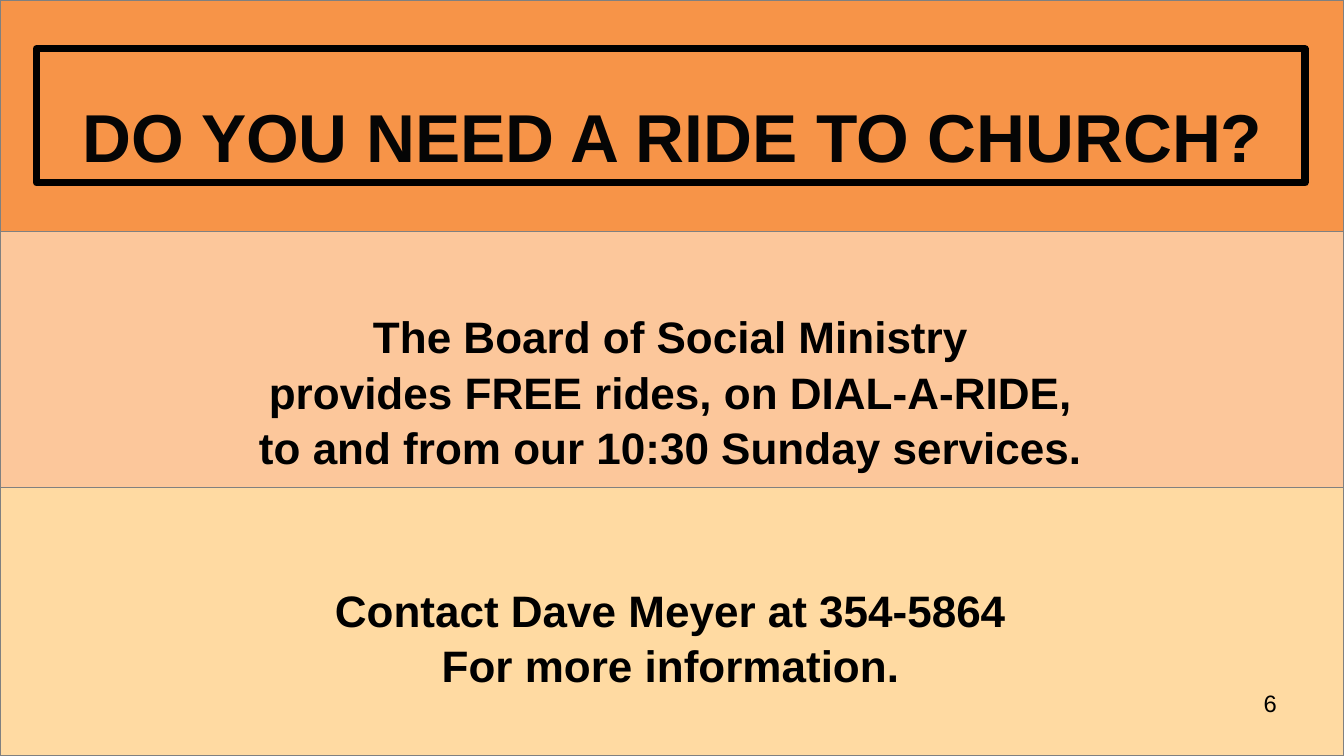
from dataclasses import dataclass
from typing import Any

from lxml.etree import SubElement
from pptx import Presentation
from pptx.dml.color import RGBColor
from pptx.enum.shapes import MSO_SHAPE
from pptx.enum.text import MSO_ANCHOR, MSO_AUTO_SIZE, PP_ALIGN
from pptx.oxml.ns import qn
from pptx.util import Inches, Pt

SLIDE_WIDTH, SLIDE_HEIGHT = 11.02, 6.2


@dataclass(frozen=True)
class Panel:
    left: float
    top: float
    width: float
    height: float
    fill: str | None
    line: str
    line_width: float


@dataclass(frozen=True)
class Wording:
    left: float
    top: float
    width: float
    height: float
    groups: tuple[tuple[str, ...], ...]
    size: float
    color: str
    bold: bool
    align: PP_ALIGN
    anchor: MSO_ANCHOR = MSO_ANCHOR.TOP
    line_spacing: float = 1.0
    group_gap: float = 0


BANDS = [
    Panel(0, top, SLIDE_WIDTH, bottom - top, fill, "808080", 0)
    for top, bottom, fill in (
        (0, 1.9, "F79448"),
        (1.9, 4, "FCC79B"),
        (4, SLIDE_HEIGHT, "FFDAA2"),
    )
]
HEADLINE_FRAME = Panel(0.3, 0.4, 10.4, 1.1, None, "000000", 4.31)

HEADLINE = Wording(
    0.4, 0.79, 10.23, 0.64, (("DO YOU NEED A RIDE TO CHURCH?",),),
    40, "050505", True, PP_ALIGN.CENTER, MSO_ANCHOR.MIDDLE,
)
RIDE_OFFER = Wording(
    0.4, 2.52, 10.2, 3.05,
    (
        (
            "The Board of Social Ministry",
            "provides FREE rides, on DIAL-A-RIDE,",
            "to and from our 10:30 Sunday services.",
        ),
        ("Contact Dave Meyer at 354-5864", "For more information."),
    ),
    26, "000000", True, PP_ALIGN.CENTER, line_spacing=1.05, group_gap=63,
)
PAGE_NUMBER = Wording(
    7.9, 5.65, 2.57, 0.43, (("6",),), 14, "000000", False, PP_ALIGN.RIGHT,
)


def set_all(target: Any, values: dict[str, Any]) -> None:
    for attribute, value in values.items():
        setattr(target, attribute, value)


def paint(color_format: Any, color: str) -> None:
    color_format.rgb = RGBColor.from_string(color)


def bounds(item: Panel | Wording) -> list[int]:
    return [Inches(v) for v in (item.left, item.top, item.width, item.height)]


def draw_panel(slide: Any, panel: Panel) -> None:
    shape = slide.shapes.add_shape(MSO_SHAPE.RECTANGLE, *bounds(panel))
    shape.shadow.inherit = False
    if panel.fill:
        shape.fill.solid()
        paint(shape.fill.fore_color, panel.fill)
    else:
        shape.fill.background()
    paint(shape.line.color, panel.line)
    shape.line.width = Pt(panel.line_width)
    SubElement(shape.line._get_or_add_ln(), qn("a:round"))


def write(holder: Any, wording: Wording) -> None:
    set_all(holder, dict(zip(("left", "top", "width", "height"), bounds(wording))))
    frame = holder.text_frame
    set_all(frame, {
        "margin_left": 0,
        "margin_right": 0,
        "margin_top": 0,
        "margin_bottom": 0,
        "word_wrap": True,
        "auto_size": MSO_AUTO_SIZE.NONE,
        "vertical_anchor": wording.anchor,
    })
    lines = [
        (text, wording.group_gap if group_index and not line_index else 0)
        for group_index, group in enumerate(wording.groups)
        for line_index, text in enumerate(group)
    ]
    for index, (text, gap) in enumerate(lines):
        paragraph = frame.add_paragraph() if index else frame.paragraphs[0]
        paragraph.text = text
        properties = paragraph._p.get_or_add_pPr()
        properties.set("marL", "0")
        properties.set("indent", "0")
        SubElement(properties, qn("a:buNone"))
        set_all(paragraph, {
            "alignment": wording.align,
            "line_spacing": wording.line_spacing,
            "space_before": Pt(gap),
            "space_after": Pt(0),
        })
        font = paragraph.runs[0].font
        set_all(font, {"name": "Arial", "size": Pt(wording.size), "bold": wording.bold})
        paint(font.color, wording.color)


def main() -> None:
    presentation = Presentation()
    set_all(presentation, {
        "slide_width": Inches(SLIDE_WIDTH),
        "slide_height": Inches(SLIDE_HEIGHT),
    })
    slide = presentation.slides.add_slide(presentation.slide_layouts[1])
    headline, ride_offer = slide.placeholders

    for panel in (*BANDS, HEADLINE_FRAME):
        draw_panel(slide, panel)
    for holder, wording in ((headline, HEADLINE), (ride_offer, RIDE_OFFER)):
        write(holder, wording)
        slide.shapes._spTree.append(holder._element)
    write(slide.shapes.add_textbox(*bounds(PAGE_NUMBER)), PAGE_NUMBER)

    presentation.save("out.pptx")


if __name__ == "__main__":
    main()
